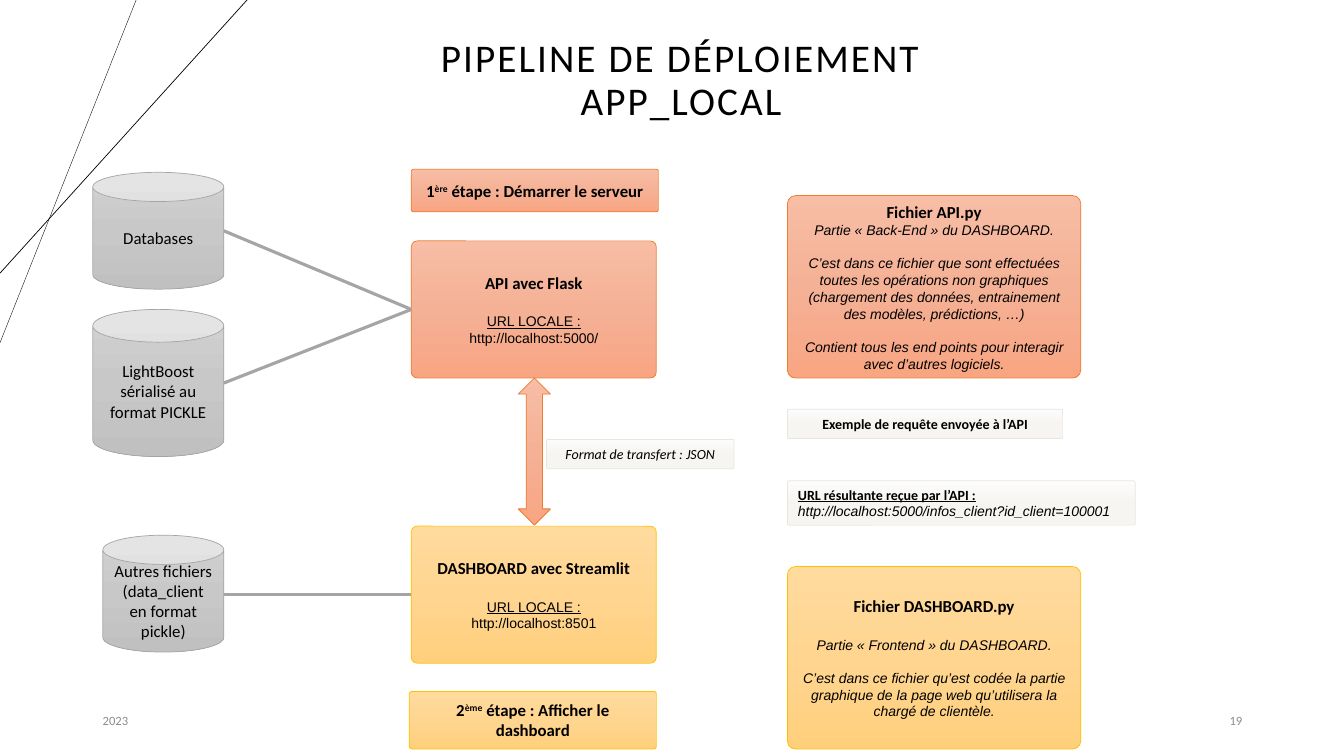
from copy import deepcopy

from lxml import etree
from pptx import Presentation
from pptx.dml.color import RGBColor
from pptx.enum.shapes import MSO_CONNECTOR, MSO_SHAPE
from pptx.enum.text import MSO_ANCHOR, PP_ALIGN
from pptx.oxml.ns import qn
from pptx.util import Pt

EMU_PER_PX = 9144
STRAIGHT = MSO_CONNECTOR.STRAIGHT
ROUNDED = MSO_SHAPE.ROUNDED_RECTANGLE
CAN = MSO_SHAPE.CAN
DOUBLE_ARROW = MSO_SHAPE.UP_DOWN_ARROW
MIDDLE = MSO_ANCHOR.MIDDLE
LEFT, CENTER, RIGHT = PP_ALIGN.LEFT, PP_ALIGN.CENTER, PP_ALIGN.RIGHT

BLACK, GREY, FOOTER_GREY = "000000", "A5A5A5", "8C8C8C"
ORANGE = (("F7BDA5", "F5B196", "F8A582"), "ED7D31")
YELLOW = (("FFDB9E", "FFD590", "FFD07C"), "FFC000")
SILVER = (("D2D2D2", "C8C8C8", "C0C0C0"), GREY)
PALE = (("FDFCFC", "F6F5F2", "F5F3F0"), "E9E6DF")

PLAIN = {"size": 12}
HEADING = {"size": 12, "bold": True}
RAISED = {"size": 12, "bold": True, "baseline": 30000}
DETAIL = {"size": 10, "name": "Arial", "italic": True}
ADDRESS = {"size": 10, "name": "Arial"}
UNDERLINED = {"size": 10, "name": "Arial", "underline": True}
LABEL = {"size": 10, "bold": True}
NOTE = {"size": 10, "italic": True}
URL_LABEL = {"size": 10, "bold": True, "underline": True}
TITLE = {"size": 28, "spacing": 150}
FOOTER = {"size": 9, "color": FOOTER_GREY}

HEADING_GAP, DETAIL_GAP = 14.5, 11.5


def px(value):
    return value * EMU_PER_PX


def rgb(value):
    return RGBColor.from_string(value)


def line_of(*spans, gap=0):
    return gap, spans


class SlideBuilder:
    def __init__(self, page, font_name):
        self.page = page
        self.font_name = font_name

    def line(self, start, end, color, weight):
        connector = self.page.shapes.add_connector(
            STRAIGHT, *map(px, start), *map(px, end))
        connector.line.color.rgb = rgb(color)
        connector.line.width = Pt(weight)
        etree.SubElement(connector._element.spPr, qn("a:effectLst"))

    def shape(self, kind, area, theme, paragraphs=(), align=CENTER):
        colors, outline = theme
        box = self.page.shapes.add_shape(kind, *map(px, area))
        box.shadow.inherit = False
        if kind == ROUNDED:
            box.adjustments[0] = 0.044
        box.fill.gradient()
        box.fill.gradient_angle = 270
        stop_list = box._element.spPr.find(qn("a:gradFill")).find(qn("a:gsLst"))
        stop_list.insert(1, deepcopy(stop_list[0]))
        for index, (stop, color) in enumerate(zip(box.fill.gradient_stops, colors)):
            stop.position = index / 2
            stop.color.rgb = rgb(color)
        box.line.color.rgb = rgb(outline)
        box.line.width = Pt(0.5)
        self.fill_text(box.text_frame, paragraphs, align)

    def text(self, area, paragraphs, align, line_spacing=1.0):
        box = self.page.shapes.add_textbox(*map(px, area))
        self.fill_text(box.text_frame, paragraphs, align, line_spacing)

    def fill_text(self, frame, paragraphs, align, line_spacing=1.0):
        frame.word_wrap = True
        frame.vertical_anchor = MIDDLE
        for index, (gap, spans) in enumerate(paragraphs):
            para = frame.add_paragraph() if index else frame.paragraphs[0]
            para.alignment = align
            para.line_spacing = line_spacing
            para.space_before = Pt(gap)
            for text, style in spans:
                self.span(para, text, style)

    def span(self, para, text, style):
        first = len(para.runs)
        for index, part in enumerate(text.split("\n")):
            if index:
                para.add_line_break()
            para.add_run().text = part
        for span in para.runs[first:]:
            font = span.font
            font.size = Pt(style["size"])
            font.name = style.get("name", self.font_name)
            font.color.rgb = rgb(style.get("color", BLACK))
            font.bold = style.get("bold", False)
            font.italic = style.get("italic", False)
            font.underline = style.get("underline", False)
            if "baseline" in style:
                span._r.get_or_add_rPr().set("baseline", str(style["baseline"]))
            if "spacing" in style:
                span._r.get_or_add_rPr().set("spc", str(style["spacing"]))


def main():
    deck = Presentation()
    deck.slide_width, deck.slide_height = px(1333), px(750)
    page = deck.slides.add_slide(deck.slide_layouts[6])
    slide = SlideBuilder(page, "Calibri")

    slide.line((135, 0), (0, 340), BLACK, 0.25)
    slide.line((245, 0), (0, 271), BLACK, 0.5)
    slide.text((215, 8, 921, 145),
               [line_of(("PIPELINE DE DÉPLOIEMENT\nAPP_LOCAL", TITLE))], CENTER, 0.9)
    slide.text((92, 695, 300, 40), [line_of(("2023", FOOTER))], LEFT)
    slide.text((942, 695, 300, 40), [line_of(("19", FOOTER))], RIGHT)

    servers = [
        (522, YELLOW, "DASHBOARD avec Streamlit", "http://localhost:8501"),
        (239, ORANGE, "API avec Flask", "http://localhost:5000/"),
    ]
    for top, theme, name, address in servers:
        slide.shape(ROUNDED, (408, top, 243, 136), theme, [
            line_of((name, HEADING)),
            line_of(("URL LOCALE : ", UNDERLINED), (address, ADDRESS), gap=HEADING_GAP),
        ])

    stores = [
        ((92, 171, 130, 116), "Databases"),
        ((102, 531, 120, 116), "Autres fichiers (data_client en format pickle)"),
        ((92, 307, 130, 146), "LightBoost sérialisé au format PICKLE"),
    ]
    for area, name in stores:
        slide.shape(CAN, area, SILVER, [line_of((name, PLAIN))])

    for store_y, server_y in ((229, 307), (380, 307), (590, 590)):
        slide.line((222, store_y), (408, server_y), GREY, 2.25)
    slide.shape(DOUBLE_ARROW, (514, 375, 32, 146), ORANGE)

    slide.shape(ROUNDED, (781, 194, 291, 181), ORANGE, [
        line_of(("Fichier API.py", HEADING)),
        line_of(("Partie « Back-End » du DASHBOARD.", DETAIL)),
        line_of(("C’est dans ce fichier que sont effectuées toutes les opérations "
                 "non graphiques (chargement des données, entrainement des modèles, "
                 "prédictions, …)", DETAIL), gap=DETAIL_GAP),
        line_of(("Contient tous les end points pour interagir avec d’autres "
                 "logiciels.", DETAIL), gap=DETAIL_GAP),
    ])
    slide.shape(ROUNDED, (781, 562, 291, 181), YELLOW, [
        line_of(("Fichier DASHBOARD.py", HEADING)),
        line_of(("Partie « Frontend » du DASHBOARD.", DETAIL), gap=HEADING_GAP),
        line_of(("C’est dans ce fichier qu’est codée la partie graphique de la page "
                 "web qu’utilisera la chargé de clientèle.", DETAIL), gap=DETAIL_GAP),
    ])

    steps = [
        ((408, 168, 245, 42), ORANGE, "1", "ère", " étape : Démarrer le serveur"),
        ((406, 686, 245, 57), YELLOW, "2", "ème", " étape : Afficher le dashboard"),
    ]
    for area, theme, number, suffix, action in steps:
        slide.shape(ROUNDED, area, theme, [
            line_of((number, HEADING), (suffix, RAISED), (action, HEADING))])

    slide.shape(ROUNDED, (542, 436, 186, 29), PALE,
                [line_of(("Format de transfert : JSON", NOTE))])
    slide.shape(ROUNDED, (781, 406, 273, 29), PALE,
                [line_of(("Exemple de requête envoyée à l’API", LABEL))])
    slide.shape(ROUNDED, (781, 477, 345, 44), PALE, [
        line_of(("URL résultante reçue par l’API :", URL_LABEL)),
        line_of(("http://localhost:5000/infos_client?id_client=100001", DETAIL)),
    ], LEFT)

    deck.save("out.pptx")


if __name__ == "__main__":
    main()
